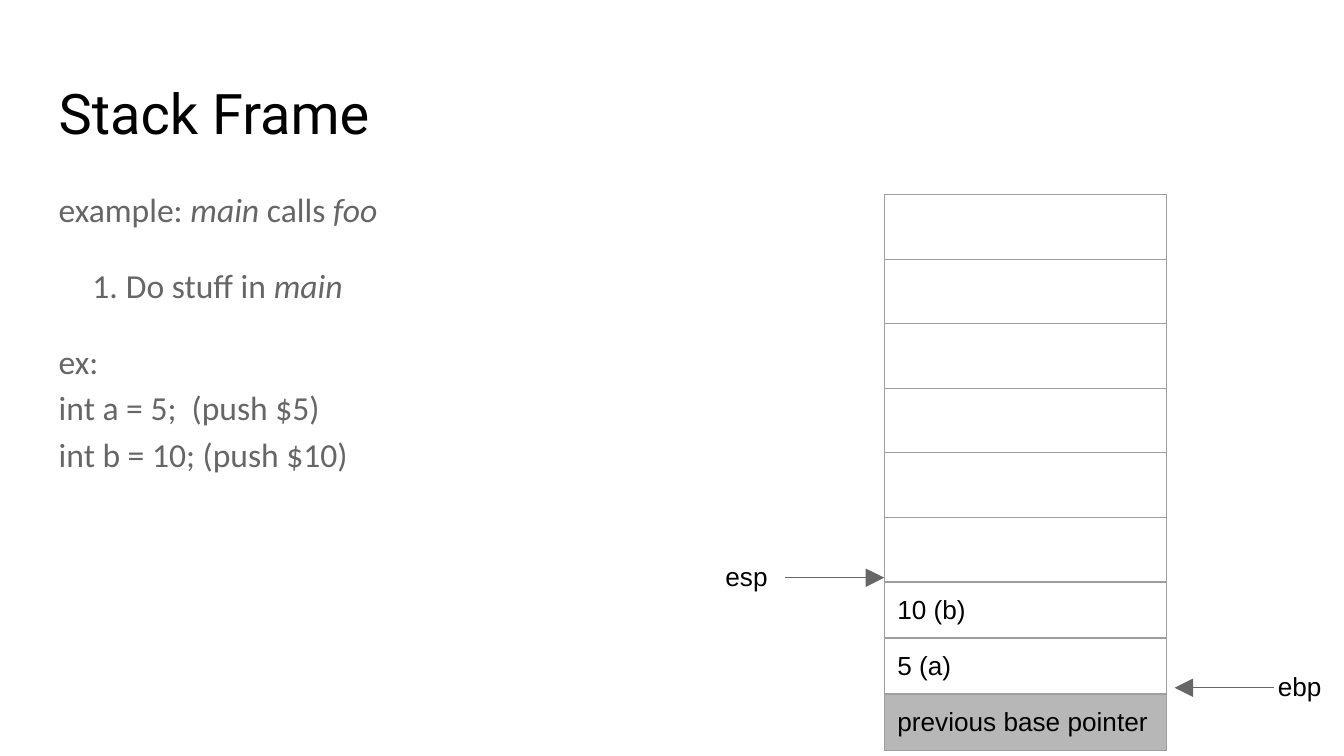
from lxml import etree
from pptx import Presentation
from pptx import util as u
from pptx.dml.color import RGBColor
from pptx.enum import shapes, text
from pptx.oxml.ns import qn

Cm, Pt = u.Cm, u.Pt
INSET = Cm(0.25)
BLACK, GREY, BORDER, WHITE, SHADE = "000000", "666666", "9E9E9E", "FFFFFF", "B7B7B7"
BODY = [
    (False, [[("example: ", False), ("main", True), (" calls ", False), ("foo", True)]]),
    (True, [[("Do stuff in ", False), ("main", True)]]),
    (False, [[("ex:", False)],
             [("int a = 5;  (push $5)", False)],
             [("int b = 10; (push $10)", False)]]),
]
STACK = [("", WHITE)] * 6 + [
    ("10 (b)", WHITE), ("5 (a)", WHITE), ("previous base pointer", SHADE)]


def rgb(value):
    return RGBColor.from_string(value)


def add_run(p, words, font, size, color, italic=False):
    r = p.add_run()
    r.text = words
    r.font.name, r.font.size, r.font.italic = font, Pt(size), italic
    r.font.color.rgb = rgb(color)


def place(sp, box):
    sp.left, sp.top, sp.width, sp.height = (Cm(n) for n in box)


def prepare(tf):
    tf.word_wrap = True
    tf.auto_size = text.MSO_AUTO_SIZE.NONE
    tf.vertical_anchor = text.MSO_ANCHOR.TOP
    tf.margin_left = tf.margin_right = tf.margin_top = tf.margin_bottom = INSET


def set_bullet(p, numbered):
    pPr = p._p.get_or_add_pPr()
    pPr.set("marL", str(u.Inches(0.5) if numbered else 0))
    pPr.set("indent", str(u.Inches(-0.25) if numbered else 0))
    if numbered:
        color = etree.SubElement(pPr, qn("a:buClr"))
        etree.SubElement(color, qn("a:srgbClr"), val=GREY)
        etree.SubElement(pPr, qn("a:buFont"), typeface="Calibri")
        etree.SubElement(pPr, qn("a:buAutoNum"), type="arabicPeriod")
    else:
        etree.SubElement(pPr, qn("a:buNone"))


def fill_title(slide, box, words):
    sp = slide.shapes.title
    place(sp, box)
    prepare(sp.text_frame)
    p = sp.text_frame.paragraphs[0]
    p.alignment = text.PP_ALIGN.LEFT
    add_run(p, words, "Roboto", 30, BLACK)


def fill_body(slide, box, paragraphs):
    sp = slide.placeholders[1]
    place(sp, box)
    tf = sp.text_frame
    prepare(tf)
    for i, (numbered, lines) in enumerate(paragraphs):
        p = tf.add_paragraph() if i else tf.paragraphs[0]
        set_bullet(p, numbered)
        p.line_spacing, p.space_before, p.space_after = 1.15, Pt(0), Pt(16)
        for j, line in enumerate(lines):
            if j:
                p.add_line_break()
            for words, italic in line:
                add_run(p, words, "Calibri", 18, GREY, italic)


def set_borders(cell):
    tcPr = cell._tc.get_or_add_tcPr()
    for i, side in enumerate(("lnL", "lnR", "lnT", "lnB")):
        ln = etree.Element(qn(f"a:{side}"), w=str(Pt(0.75)))
        fill = etree.SubElement(ln, qn("a:solidFill"))
        etree.SubElement(fill, qn("a:srgbClr"), val=BORDER)
        tcPr.insert(i, ln)


def add_pointer(slide, label, label_x, start, tip, y):
    """Draw a horizontal arrow at height y with its label centred on that height."""
    line = slide.shapes.add_connector(
        shapes.MSO_CONNECTOR.STRAIGHT, Cm(start), Cm(y), Cm(tip), Cm(y))
    line.line.color.rgb, line.line.width = rgb(GREY), Pt(0.75)
    etree.SubElement(line.line._get_or_add_ln(), qn("a:tailEnd"),
                     type="triangle", w="lg", len="lg")
    etree.SubElement(line._element.spPr, qn("a:effectLst"))
    sp = slide.shapes.add_textbox(Cm(label_x), Cm(y - 0.58), Cm(2.87), Cm(1.17))
    prepare(sp.text_frame)
    add_run(sp.text_frame.paragraphs[0], label, "Arial", 14, BLACK)


def add_stack(slide, box, rows):
    """Draw the stack table and the two register pointers beside it."""
    x, y, w, h = box
    tbl = slide.shapes.add_table(len(rows), 1, Cm(x), Cm(y), Cm(w), Cm(h)).table
    tbl.first_row = tbl.horz_banding = False
    for row, (words, color) in zip(tbl.rows, rows):
        row.height = Cm(1.06 if words else 1.22)
        cell = row.cells[0]
        cell.fill.solid()
        cell.fill.fore_color.rgb = rgb(color)
        cell.margin_left = cell.margin_right = INSET
        # Small vertical margins keep the set row heights from growing.
        cell.margin_top = cell.margin_bottom = Cm(0.1)
        cell.vertical_anchor = text.MSO_ANCHOR.MIDDLE
        set_borders(cell)
        if words:
            add_run(cell.text_frame.paragraphs[0], words, "Arial", 14, BLACK)
    right = x + w
    add_pointer(slide, "esp", x - 3.25, x - 1.88, x, y + 7.24)
    add_pointer(slide, "ebp", right + 1.86, right + 2.04, right + 0.16, y + 9.32)


def main():
    prs = Presentation()
    prs.slide_width, prs.slide_height = Cm(25.4), Cm(14.29)
    slide = prs.slides.add_slide(prs.slide_layouts[1])
    fill_title(slide, (0.86, 1.24, 23.67, 1.6), "Stack Frame")
    fill_body(slide, (0.86, 3.2, 23.67, 9.5), BODY)
    add_stack(slide, (16.71, 3.68, 5.33, 10.5), STACK)
    prs.save("out.pptx")


if __name__ == "__main__":
    main()
